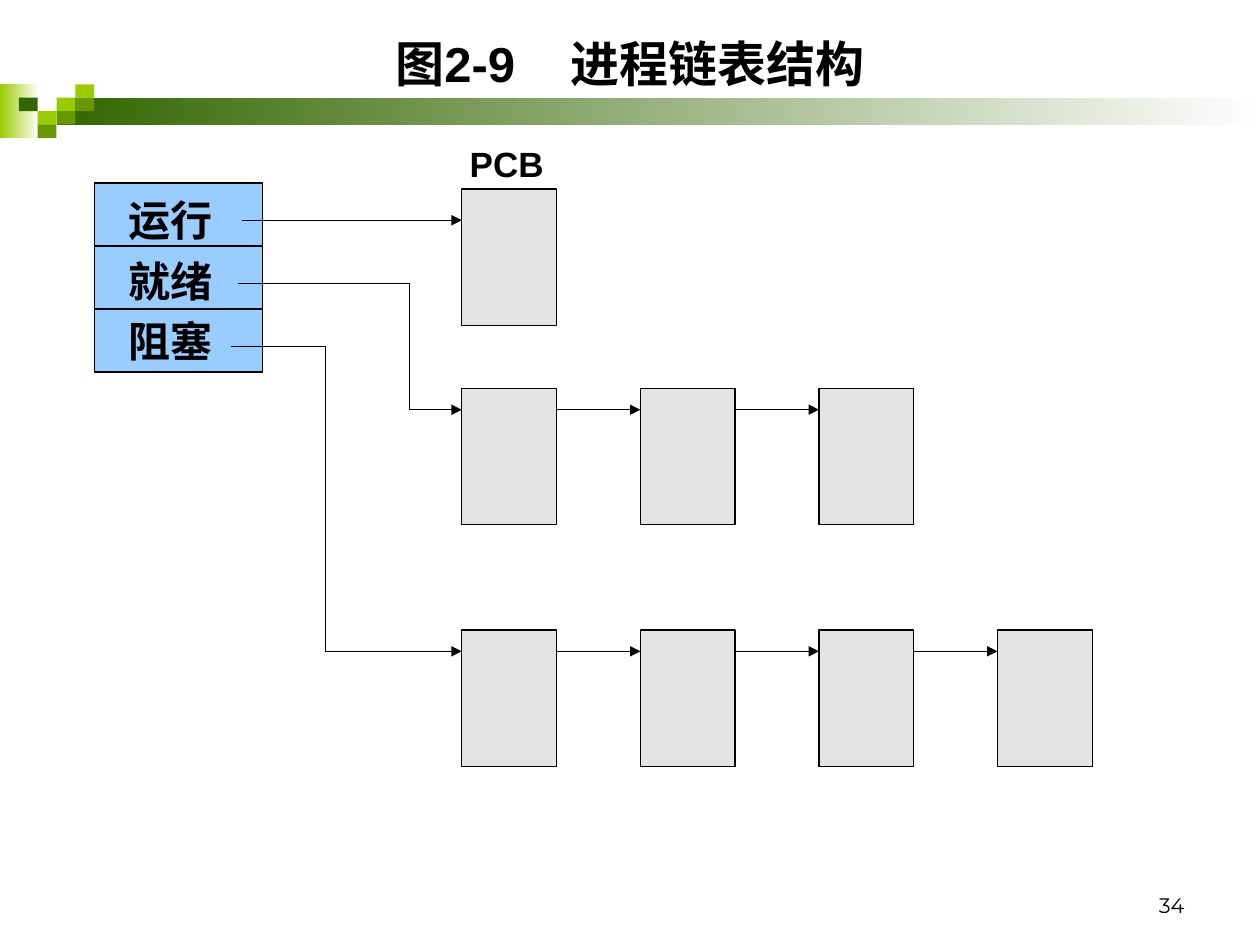
from itertools import pairwise

from lxml.etree import SubElement
from pptx import Presentation
from pptx.dml.color import RGBColor
from pptx.enum.shapes import MSO_CONNECTOR, MSO_SHAPE
from pptx.enum.text import MSO_ANCHOR, PP_ALIGN
from pptx.oxml.ns import qn
from pptx.util import Cm, Pt

BLACK = RGBColor(0x00, 0x00, 0x00)
WHITE = RGBColor(0xFF, 0xFF, 0xFF)
LIME = RGBColor(0x99, 0xCC, 0x00)
GREEN = RGBColor(0x66, 0x99, 0x00)
DARK_GREEN = RGBColor(0x33, 0x66, 0x00)
BLUE = RGBColor(0x99, 0xCC, 0xFF)
SILVER = RGBColor(0xC0, 0xC0, 0xC0)


class Deck:
    """Holds the style and the current slide."""

    line_width = Pt(0.75)
    font = {"name": "Arial", "bold": True}

    def __init__(self, width, height):
        self.prs = Presentation()
        self.prs.slide_width, self.prs.slide_height = Cm(width), Cm(height)
        self.s = self.prs.slides.add_slide(self.prs.slide_layouts[6])

    def rect(self, x, y, w, h, color, fade_to=None, alpha=None, outline=False):
        sp = self.s.shapes.add_shape(MSO_SHAPE.RECTANGLE, Cm(x), Cm(y), Cm(w), Cm(h))
        sp.shadow.inherit = False
        if fade_to is not None:
            sp.fill.gradient()
            sp.fill.gradient_angle = 0
            for stop, c in zip(sp.fill.gradient_stops, (color, fade_to)):
                stop.color.rgb = c
        else:
            sp.fill.solid()
            sp.fill.fore_color.rgb = color
        if alpha is not None:
            clr = sp._element.spPr.find(".//" + qn("a:srgbClr"))
            SubElement(clr, qn("a:alpha"), val=str(alpha * 1000))
        if outline:
            sp.line.color.rgb = BLACK
            sp.line.width = self.line_width
        else:
            sp.line.fill.background()

    def text(self, x, y, w, h, lines, size, align=PP_ALIGN.LEFT,
             anchor=MSO_ANCHOR.TOP, spacing=None, **font):
        """Each line is a list of (text, letter spacing in points) runs."""
        tf = self.s.shapes.add_textbox(Cm(x), Cm(y), Cm(w), Cm(h)).text_frame
        tf.word_wrap, tf.vertical_anchor = True, anchor
        style = {**self.font, "size": Pt(size), **font}
        for i, runs in enumerate(lines):
            p = tf.add_paragraph() if i else tf.paragraphs[0]
            p.alignment, p.line_spacing = align, spacing
            for content, tracking in runs:
                r = p.add_run()
                r.text = content
                for key, value in style.items():
                    setattr(r.font, key, value)
                r.font.color.rgb = BLACK
                if tracking:
                    r._r.get_or_add_rPr().set("spc", str(tracking * 100))

    def route(self, *points, arrow=True):
        """Straight lines through the points, with an arrowhead at the last."""
        for start, end in pairwise(points):
            ends = [Cm(v) for v in (*start, *end)]
            cx = self.s.shapes.add_connector(MSO_CONNECTOR.STRAIGHT, *ends)
            cx.line.color.rgb = BLACK
            cx.line.width = self.line_width
            if arrow and end == points[-1]:
                SubElement(cx.line._get_or_add_ln(), qn("a:tailEnd"), type="triangle")
            SubElement(cx._element.spPr, qn("a:effectLst"))


def main():
    deck = Deck(25.4, 19.05)

    # Banner: two fading bars and a mosaic of small cells
    deck.rect(0, 1.7, 0.79, 1.08, LIME, fade_to=WHITE)
    deck.rect(1.14, 1.97, 24.26, 0.56, DARK_GREEN, fade_to=WHITE)
    cell_w, cell_h = 0.38, 0.27
    mosaic = [(3, 1, LIME), (4, 0, LIME), (4, 1, GREEN), (2, 2, LIME),
              (1, 1, DARK_GREEN), (3, 2, GREEN), (2, 3, GREEN)]
    for col, row, color in mosaic:
        deck.rect(col * cell_w, 1.7 + row * cell_h, cell_w, cell_h, color)

    # Title and page number
    deck.text(1.27, 0.42, 22.86, 1.7,
              [[("图2-9", 0), (" ", 24), ("进程链表结构", 0)]], 28,
              align=PP_ALIGN.CENTER, anchor=MSO_ANCHOR.MIDDLE)
    deck.text(18.2, 17.36, 5.93, 1.27, [[("34", 0)]], 12, align=PP_ALIGN.RIGHT,
              anchor=MSO_ANCHOR.BOTTOM, name="Montserrat", bold=False)

    # Table of list heads
    head_x, head_y, head_w, head_h = 1.9, 3.69, 3.39, 1.27
    deck.rect(head_x, head_y, head_w, 3 * head_h, BLUE, outline=True)
    for i in (1, 2):
        y = head_y + i * head_h
        deck.route((head_x, y), (head_x + head_w, y), arrow=False)
    deck.text(2.34, 3.6, 2.6, 3.91,
              [[(state, 0)] for state in ("运行", "就绪", "阻塞")], 24, spacing=1.2)

    # Chains of PCBs: top, number of blocks, arrow drop below the top
    pcb_x, pcb_w, pcb_h, step = 9.31, 1.91, 2.75, 3.6
    chains = [(3.81, 1, 0.63), (7.83, 3, 0.43), (12.7, 4, 0.43)]
    for top, count, drop in chains:
        for i in range(count):
            x = pcb_x + i * step
            deck.rect(x, top, pcb_w, pcb_h, SILVER, alpha=43, outline=True)
            if i:
                deck.route((x - step + pcb_w, top + drop), (x, top + drop))
    deck.text(9.22, 2.75, 2.3, 1.11, [[("PCB", 0)]], 20)

    # Links from each list head to its first PCB
    ys = [top + drop for top, _, drop in chains]
    deck.route((4.87, ys[0]), (pcb_x, ys[0]))
    for start_x, start_y, bend_x, y in ((4.8, 5.71, 8.26, ys[1]),
                                        (4.66, 6.98, 6.56, ys[2])):
        deck.route((start_x, start_y), (bend_x, start_y), (bend_x, y), (pcb_x, y))

    deck.prs.save("out.pptx")


if __name__ == "__main__":
    main()
